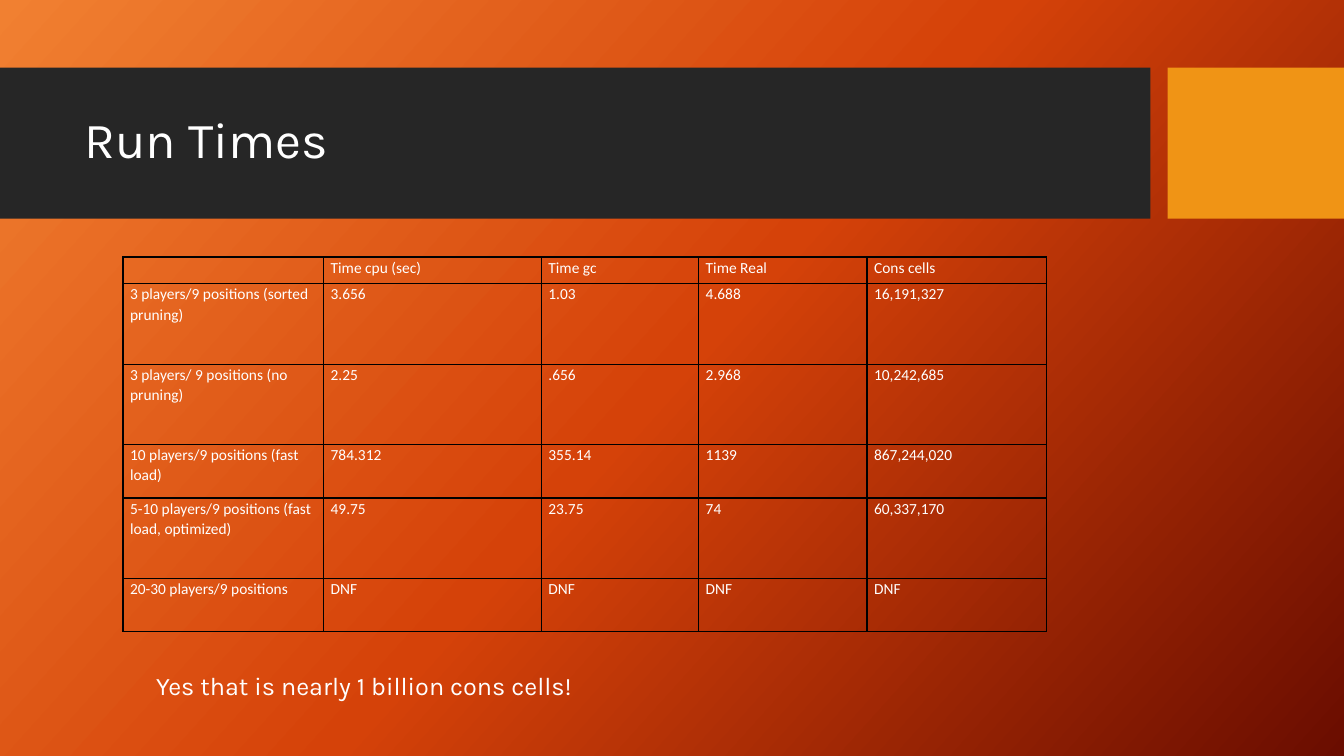
from copy import deepcopy

from lxml.etree import SubElement
from pptx import Presentation
from pptx.dml.color import RGBColor
from pptx.enum.shapes import MSO_SHAPE
from pptx.enum.text import MSO_ANCHOR, MSO_AUTO_SIZE
from pptx.oxml.ns import qn
from pptx.util import Inches, Pt

WHITE = RGBColor(0xFF, 0xFF, 0xFF)
CHARCOAL = RGBColor(0x26, 0x26, 0x26)
AMBER = RGBColor(0xF0, 0x94, 0x15)
GLOW = [RGBColor(0xF1, 0x80, 0x31), RGBColor(0xD5, 0x42, 0x09), RGBColor(0x6A, 0x0D, 0x00)]
BORDER = "000000"

SLIDE_WIDTH, SLIDE_HEIGHT = 13.33, 7.5
BAND_TOP, BAND_HEIGHT = 0.67, 1.5
COLUMN_WIDTHS = [1.99, 2.16, 1.56, 1.67, 1.78]
ROW_LINES = [1, 3, 3, 2, 3, 2]
LINE_HEIGHT = 3.72 / sum(ROW_LINES)
RUN_TIMES = [
    ["", "Time cpu (sec)", "Time gc", "Time Real", "Cons cells"],
    ["3 players/9 positions (sorted pruning)", "3.656", "1.03", "4.688", "16,191,327"],
    ["3 players/ 9 positions (no pruning)", "2.25", ".656", "2.968", "10,242,685"],
    ["10 players/9 positions (fast load)", "784.312", "355.14", "1139", "867,244,020"],
    ["5-10 players/9 positions (fast load, optimized)", "49.75", "23.75", "74", "60,337,170"],
    ["20-30 players/9 positions", "DNF", "DNF", "DNF", "DNF"],
]


def paint_background(slide):
    """Fill the slide with a three-stop diagonal gradient."""
    fill = slide.background.fill
    fill.gradient()
    fill.gradient_angle = 360 - 42
    first_stop = slide.background._cSld.find(".//" + qn("a:gs"))
    first_stop.addnext(deepcopy(first_stop))
    for index, (stop, color) in enumerate(zip(fill.gradient_stops, GLOW)):
        stop.position = index / 2
        stop.color.rgb = color


def add_band(slide, left, width, color):
    """Add one plain block of the title band."""
    band = slide.shapes.add_shape(
        MSO_SHAPE.RECTANGLE, Inches(left), Inches(BAND_TOP), Inches(width), Inches(BAND_HEIGHT))
    band.shadow.inherit = False
    band.fill.solid()
    band.fill.fore_color.rgb = color
    band.line.fill.background()


def write(paragraph, words, font_name, size, spacing=1.0):
    """Write one white run into a paragraph."""
    paragraph.line_spacing = spacing
    run = paragraph.add_run()
    run.text = words
    run.font.name = font_name
    run.font.size = Pt(size)
    run.font.color.rgb = WHITE


def add_text(slide, box, words, size, spacing=1.0, wrap=True):
    """Add a text box and return its frame."""
    frame = slide.shapes.add_textbox(*map(Inches, box)).text_frame
    frame.word_wrap = wrap
    write(frame.paragraphs[0], words, "Karla", size, spacing)
    return frame


def outline_cell(cell):
    """Give a cell thin borders and no fill."""
    properties = cell._tc.get_or_add_tcPr()
    for side in ("a:lnL", "a:lnR", "a:lnT", "a:lnB"):
        edge = SubElement(properties, qn(side), w=str(Pt(1)))
        color = SubElement(edge, qn("a:solidFill"))
        SubElement(color, qn("a:srgbClr"), val=BORDER)
    cell.fill.background()


def fill_cell(cell, words):
    """Format a cell and write its value."""
    cell.margin_left = cell.margin_right = Inches(0.07)
    cell.margin_top = cell.margin_bottom = 0
    outline_cell(cell)
    paragraph = cell.text_frame.paragraphs[0]
    if words:
        write(paragraph, words, "Calibri", 11, 1.07)
    else:
        SubElement(paragraph._p, qn("a:endParaRPr"), sz="1100")


def add_run_times(slide, left, top):
    """Add the table of run times."""
    table = slide.shapes.add_table(
        len(ROW_LINES), len(COLUMN_WIDTHS), Inches(left), Inches(top),
        Inches(sum(COLUMN_WIDTHS)), Inches(LINE_HEIGHT * sum(ROW_LINES))).table
    table.first_row = table.horz_banding = False
    for column, width in zip(table.columns, COLUMN_WIDTHS):
        column.width = Inches(width)
    for row, lines, values in zip(table.rows, ROW_LINES, RUN_TIMES):
        row.height = Inches(lines * LINE_HEIGHT)
        for cell, words in zip(row.cells, values):
            fill_cell(cell, words)


def main():
    """Build the slide and save it."""
    deck = Presentation()
    deck.slide_width, deck.slide_height = Inches(SLIDE_WIDTH), Inches(SLIDE_HEIGHT)
    slide = deck.slides.add_slide(deck.slide_layouts[6])
    paint_background(slide)
    add_band(slide, 0, 11.41, CHARCOAL)
    add_band(slide, 11.58, SLIDE_WIDTH - 11.58, AMBER)
    title = add_text(slide, (0.74, 0.82, 10.51, 1.18), "Run Times", 36, 0.9)
    title.vertical_anchor = MSO_ANCHOR.MIDDLE
    add_run_times(slide, 1.22, 2.55)
    remark = add_text(slide, (1.45, 6.6, 4.38, 0.4),
                      "Yes that is nearly 1 billion cons cells!", 18, wrap=False)
    remark.auto_size = MSO_AUTO_SIZE.SHAPE_TO_FIT_TEXT
    deck.save("out.pptx")


main()
